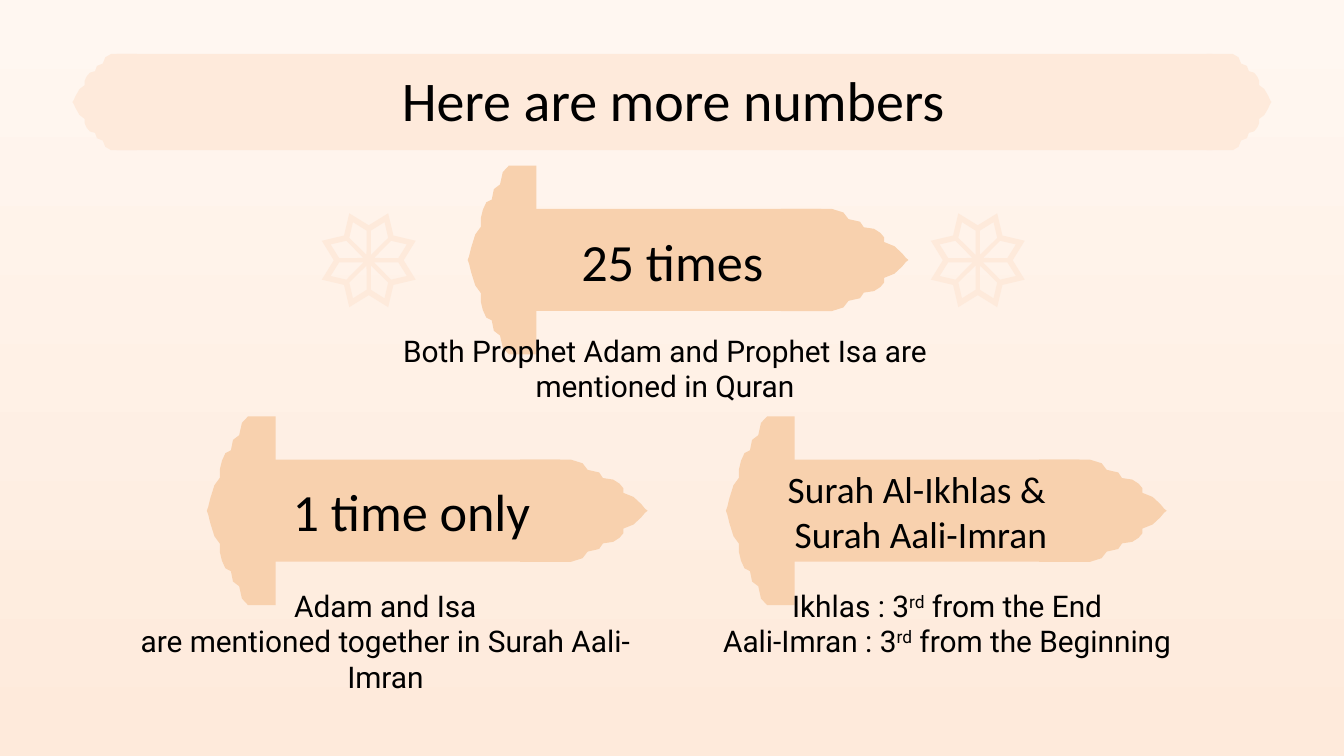
import math
from dataclasses import dataclass

from lxml import etree
from pptx import Presentation
from pptx import util as u
from pptx.dml.color import RGBColor
from pptx.enum import shapes, text
from pptx.oxml import ns


@dataclass(frozen=True)
class Theme:
    sky: str = "FFF7F1"
    sand: str = "FEEADB"
    peach: str = "F8D1AE"
    ink: str = "000000"
    heading_font: str = "Calibri"
    body_font: str = "Roboto"
    title_size: int = 30
    number_size: int = 28
    surah_size: int = 20
    body_size: int = 16


THEME = Theme()
SUPER = "super:"

# Half outline of a scalloped cap, from the tip (0, 0) to the straight edge,
# as shares of the cap's length and of half its height
SCALLOPS = [
    (0, 0), (0.02, 0.04), (0.05, 0.13), (0.11, 0.27), (0.19, 0.35),
    (0.19, 0.44), (0.22, 0.53), (0.27, 0.61), (0.35, 0.64),
    (0.38, 0.75), (0.47, 0.8), (0.51, 0.93), (0.6, 1), (1, 1),
]


def paint(shape, colour):
    shape.fill.solid()
    shape.fill.fore_color.rgb = RGBColor.from_string(colour)
    shape.line.fill.background()
    shape.shadow.inherit = False


def draw_outline(parts, loops, colour):
    """Draw closed loops of points, given in centimetres, as one shape."""
    loops = [[(u.Cm(x), u.Cm(y)) for x, y in loop] for loop in loops]
    builder = parts.build_freeform(*loops[0][0])
    for index, loop in enumerate(loops):
        if index:
            builder.move_to(*loop[0])
        builder.add_line_segments(loop[1:], close=True)
    paint(builder.convert_to_shape(), colour)


def draw_cap(parts, tip_x, middle_y, length, height, colour):
    """Draw a cap; a negative length makes its tip point right."""
    ring = SCALLOPS + [(along, -across) for along, across in reversed(SCALLOPS[1:])]
    loop = [(tip_x + along * length, middle_y + across * height / 2)
            for along, across in ring]
    draw_outline(parts, [loop], colour)


def draw_plaque(page, box, colour, caps, bar):
    """Draw a bar with a cap at each end; caps are (length, height) pairs."""
    left, top, width, height = box
    parts = page.shapes.add_group_shape().shapes
    middle = top + height / 2
    (left_length, left_height), (right_length, right_height) = caps
    draw_cap(parts, left + width, middle, -right_length, right_height, colour)
    draw_cap(parts, left, middle, left_length, left_height, colour)
    start, length = bar
    rectangle = parts.add_shape(
        shapes.MSO_SHAPE.RECTANGLE,
        *map(u.Cm, (left + start, top, length, height)))
    paint(rectangle, colour)


def draw_star(page, box):
    """Draw an eight-pointed star with eight kite-shaped openings."""
    left, top, width, height = box
    centre_x, centre_y = left + width / 2, top + height / 2

    def polar(radius, degrees):
        angle = math.radians(degrees)
        return centre_x + radius * math.cos(angle), centre_y + radius * math.sin(angle)

    tips = [22.5 + 45 * k for k in range(8)]
    rim = [polar(*spot) for tip in tips for spot in ((0.96, tip), (0.66, tip + 22.5))]
    kites = [[polar(0.78, tip), polar(0.56, tip - 18.5),
              polar(0.11, tip), polar(0.56, tip + 18.5)] for tip in tips]
    draw_outline(page.shapes, [rim] + kites, THEME.sand)


def write(page, box, lines, size, font, anchor, holder=None):
    """Fill a placeholder, or a new text box, with centred lines of spans."""
    position = [u.Cm(value) for value in box]
    holder = holder or page.shapes.add_textbox(*position)
    for name, value in zip(("left", "top", "width", "height"), position):
        setattr(holder, name, value)
    page.shapes._spTree.append(holder._element)  # bring to front
    frame = holder.text_frame
    frame_format = {"word_wrap": True, "auto_size": text.MSO_AUTO_SIZE.NONE,
                    "vertical_anchor": anchor}
    frame_format.update({f"margin_{side}": u.Cm(0.25)
                         for side in ("left", "top", "right", "bottom")})
    for name, value in frame_format.items():
        setattr(frame, name, value)
    para_format = {"alignment": text.PP_ALIGN.CENTER, "line_spacing": 1.0,
                   "space_before": u.Pt(0), "space_after": u.Pt(0)}
    span_format = {"size": u.Pt(size), "name": font, "bold": False}
    for index, spans in enumerate(lines):
        para = frame.add_paragraph() if index else frame.paragraphs[0]
        for name, value in para_format.items():
            setattr(para, name, value)
        properties = para._p.get_or_add_pPr()
        properties.set("marL", "0")
        properties.set("indent", "0")
        etree.SubElement(properties, ns.qn("a:buNone"))
        for words in spans:
            if words == "\n":
                para.add_line_break()
                continue
            span = para.add_run()
            span.text = words.removeprefix(SUPER)
            for name, value in span_format.items():
                setattr(span.font, name, value)
            span.font.color.rgb = RGBColor.from_string(THEME.ink)
            if words.startswith(SUPER):
                span._r.get_or_add_rPr().set("baseline", "30000")


def draw_header(page, box, title):
    left, top, width, height = box
    draw_plaque(page, box, THEME.sand, [(1.22, height)] * 2, (0.84, 20.7))
    write(page, (left + 0.61, top - 0.03, 21.49, 1.6), [[title]], THEME.title_size,
          THEME.heading_font, text.MSO_ANCHOR.TOP, page.shapes.title)


def draw_card(page, box, heading, size, heading_span, caption, caption_box, holders):
    """Draw a plaque with its heading and the caption below it."""
    left, top, width, height = box
    draw_plaque(page, box, THEME.peach, [(1.3, 3.57), (2.41, height)], (1.09, 5.59))
    start, length = heading_span
    write(page, (left + start, top + 0.35, length, 1.24), [heading], size,
          THEME.heading_font, text.MSO_ANCHOR.MIDDLE, holders[0])
    start, drop, length = caption_box
    write(page, (left + start, top + drop, length, 1.93), caption, THEME.body_size,
          THEME.body_font, text.MSO_ANCHOR.TOP, holders[1])


def main():
    deck = Presentation()
    deck.slide_width, deck.slide_height = u.Cm(25.4), u.Cm(14.29)
    page = deck.slides.add_slide(deck.slide_layouts.get_by_name("Comparison"))
    slots = {slot.placeholder_format.idx: slot for slot in page.placeholders}

    # Background, light at the top
    fill = page.background.fill
    fill.gradient()
    fill.gradient_angle = 270
    for stop, colour, place in zip(fill.gradient_stops, (THEME.sky, THEME.sand), (0, 1)):
        stop.color.rgb = RGBColor.from_string(colour)
        stop.position = place

    draw_header(page, (1.37, 1.02, 22.66, 1.82), "Here are more numbers")

    # Number cards: top, lower left, lower right
    card_size = (8.33, 1.93)
    draw_card(page, (8.84, 3.95, *card_size), ["25 times"], THEME.number_size,
              (0.64, 6.45),
              [["Both Prophet Adam and Prophet Isa are mentioned in Quran"]],
              (-1.91, 2.08, 11.28), (None, None))
    draw_card(page, (3.91, 8.69, *card_size), ["1 time only"], THEME.number_size,
              (0.64, 6.45),
              [["Adam and Isa"], ["are mentioned together in Surah Aali-Imran"]],
              (-1.63, 2.16, 10.01), (slots[1], slots[2]))
    draw_card(page, (13.72, 8.69, *card_size),
              ["Surah Al-Ikhlas & ", "\n", "Surah Aali-Imran"], THEME.surah_size,
              (-1, 9.37),
              [["Ikhlas : 3", SUPER + "rd", " from the End"],
               ["Aali-Imran : 3", SUPER + "rd", " from the Beginning"]],
              (-1.14, 2.16, 10.64), (slots[3], slots[4]))

    # Stars beside the top card
    for left in (6.07, 17.58):
        draw_star(page, (left, 4.04, 1.8, 1.76))

    deck.save("out.pptx")


if __name__ == "__main__":
    main()
